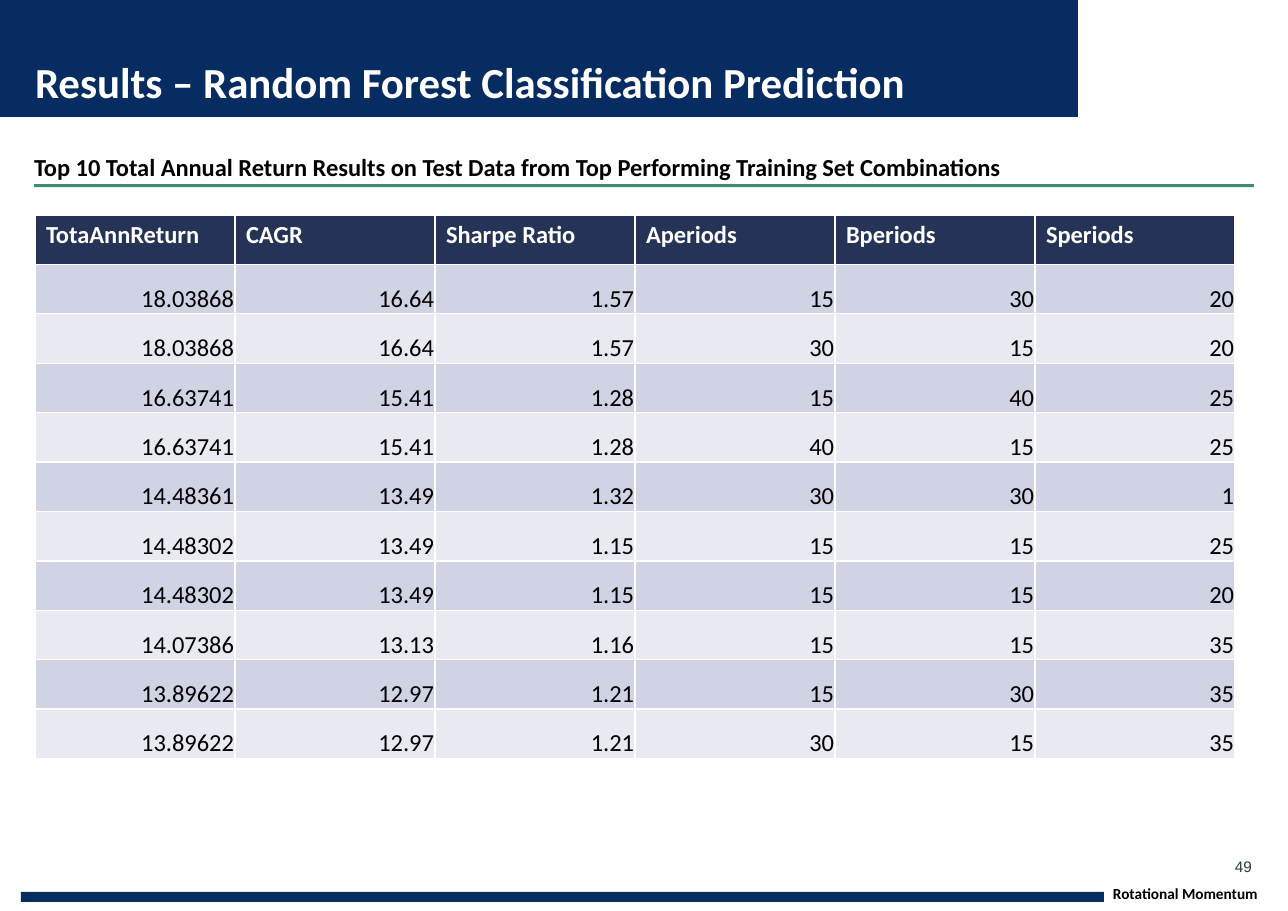
from dataclasses import dataclass

from lxml.etree import SubElement
from pptx import Presentation
from pptx.dml.color import RGBColor
from pptx.enum.shapes import MSO_SHAPE as Preset
from pptx.enum.text import MSO_ANCHOR as Anchor, MSO_AUTO_SIZE as AutoSize, PP_ALIGN as Align
from pptx.oxml.ns import qn
from pptx.util import Pt

EMU_PER_PX = 8298


def px(value):
    return value * EMU_PER_PX


@dataclass(frozen=True)
class Theme:
    navy: str = "072C62"
    white: str = "FFFFFF"
    black: str = "000000"
    green: str = "408B70"
    page_number: str = "234035"
    table_header: str = "253356"
    table_bands: tuple = ("D0D3E3", "E9EAF1")
    font: str = "Calibri"
    number_font: str = "Arial"
    title_size: int = 28
    text_size: int = 16
    footer_size: int = 10


class SlideBuilder:
    def __init__(self, slide, theme):
        self.slide = slide
        self.theme = theme

    def style_text(self, frame, size, color, bold=False, font=None):
        for paragraph in frame.paragraphs:
            for run in paragraph.runs:
                run.font.name = font or self.theme.font
                run.font.size = Pt(size)
                run.font.bold = bold
                run.font.color.rgb = RGBColor.from_string(color)

    def set_frame(self, frame, text, anchor, bottom=0, wrap=True):
        frame.text = text
        frame.auto_size = AutoSize.NONE
        frame.word_wrap = wrap
        frame.vertical_anchor = anchor
        frame.margin_left = frame.margin_top = frame.margin_right = 0
        frame.margin_bottom = px(bottom)
        frame.paragraphs[0].alignment = Align.LEFT

    def rectangle(self, left, top, width, height, fill, line=None):
        shape = self.slide.shapes.add_shape(
            Preset.RECTANGLE, px(left), px(top), px(width), px(height))
        shape.shadow.inherit = False
        shape.fill.solid()
        shape.fill.fore_color.rgb = RGBColor.from_string(fill)
        if line:
            shape.line.color.rgb = RGBColor.from_string(line)
            shape.line.width = Pt(2)
        else:
            shape.line.fill.background()
        return shape

    def title(self, text, left, top, width, height):
        shape = self.slide.shapes.title
        self.slide.shapes.element.append(shape.element)
        shape.left, shape.top = px(left), px(top)
        shape.width, shape.height = px(width), px(height)
        self.set_frame(shape.text_frame, text, Anchor.BOTTOM)
        self.style_text(shape.text_frame, self.theme.title_size, self.theme.white, True)

    def label(self, text, left, top, width, height, color, anchor,
              bold=False, font=None, wrap=True):
        shape = self.slide.shapes.add_textbox(px(left), px(top), px(width), px(height))
        self.set_frame(shape.text_frame, text, anchor, wrap=wrap)
        self.style_text(shape.text_frame, self.theme.footer_size, color, bold, font)

    def underlined_heading(self, text, left, top, width, height):
        shape = self.rectangle(left, top, width, height, self.theme.white)
        effects = shape.element.spPr.find(qn("a:effectLst"))
        shadow = SubElement(effects, qn("a:outerShdw"), dist=str(Pt(2)),
                            dir="5400000", algn="t", rotWithShape="0")
        SubElement(shadow, qn("a:srgbClr"), val=self.theme.green)
        self.set_frame(shape.text_frame, text, Anchor.BOTTOM, bottom=3)
        shape.text_frame.paragraphs[0].line_spacing = 1.1
        self.style_text(shape.text_frame, self.theme.text_size, self.theme.black, True)

    def table(self, headers, rows, left, top, width, height):
        theme = self.theme
        table = self.slide.shapes.add_table(
            len(rows) + 1, len(headers), px(left), px(top), px(width), px(height)).table
        for row_index, values in enumerate([headers, *rows]):
            is_header = row_index == 0
            fill = theme.table_header if is_header else theme.table_bands[(row_index - 1) % 2]
            for column_index, value in enumerate(values):
                cell = table.cell(row_index, column_index)
                cell.text_frame.text = value
                cell.fill.solid()
                cell.fill.fore_color.rgb = RGBColor.from_string(fill)
                if not is_header:
                    cell.vertical_anchor = Anchor.BOTTOM
                    cell.margin_left = cell.margin_top = cell.margin_right = px(1)
                    cell.margin_bottom = 0
                    cell.text_frame.paragraphs[0].alignment = Align.RIGHT
                self.style_text(cell.text_frame, theme.text_size,
                                theme.white if is_header else theme.black, is_header)


HEADERS = ["TotaAnnReturn", "CAGR", "Sharpe Ratio", "Aperiods", "Bperiods", "Speriods"]
RESULTS = [
    ["18.03868", "16.64", "1.57", "15", "30", "20"],
    ["18.03868", "16.64", "1.57", "30", "15", "20"],
    ["16.63741", "15.41", "1.28", "15", "40", "25"],
    ["16.63741", "15.41", "1.28", "40", "15", "25"],
    ["14.48361", "13.49", "1.32", "30", "30", "1"],
    ["14.48302", "13.49", "1.15", "15", "15", "25"],
    ["14.48302", "13.49", "1.15", "15", "15", "20"],
    ["14.07386", "13.13", "1.16", "15", "15", "35"],
    ["13.89622", "12.97", "1.21", "15", "30", "35"],
    ["13.89622", "12.97", "1.21", "30", "15", "35"],
]


def main():
    theme = Theme()
    presentation = Presentation()
    presentation.slide_width, presentation.slide_height = px(1288), px(911)
    slide = presentation.slides.add_slide(presentation.slide_layouts[5])
    builder = SlideBuilder(slide, theme)

    builder.rectangle(0, 0, 1288, 117, theme.navy)
    builder.rectangle(1080, 0, 208, 117, theme.white, line=theme.white)
    builder.rectangle(21, 892, 1083, 10, theme.navy)
    builder.label("Rotational Momentum", 1113, 884, 175, 19, theme.black,
                  Anchor.BOTTOM, bold=True)
    builder.title("Results – Random Forest Classification Prediction", 35, 55, 1046, 52)
    builder.label("49", 1235, 857, 19, 19, theme.page_number, Anchor.MIDDLE,
                  font=theme.number_font, wrap=False)
    builder.table(HEADERS, RESULTS, 35, 215, 1200, 544)
    builder.underlined_heading(
        "Top 10 Total Annual Return Results on Test Data from Top Performing "
        "Training Set Combinations", 34, 150, 1220, 34)

    presentation.save("out.pptx")


if __name__ == "__main__":
    main()
